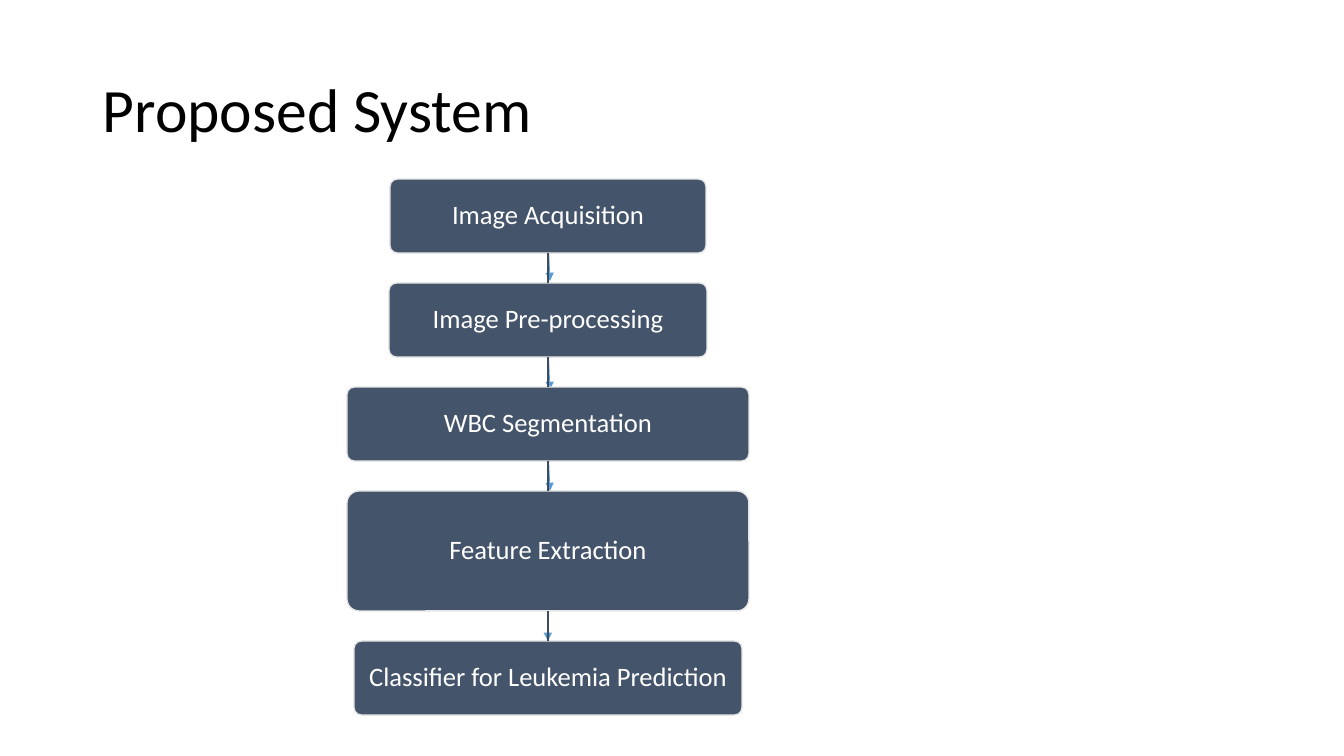
"""Build the Proposed System slide: a five-step vertical flow chart."""
from lxml.etree import SubElement
from pptx import Presentation
from pptx.dml.color import RGBColor
from pptx.enum.shapes import MSO_CONNECTOR as Connector, MSO_SHAPE as Shape
from pptx.enum.text import MSO_ANCHOR as Anchor, PP_ALIGN as Align
from pptx.oxml.ns import qn
from pptx.util import Emu, Pt

PX = 914400 / 100.8


def color(hex_string):
    return RGBColor.from_string(hex_string)


def add_line(start_x, start_y, end_x, end_y, hex_string, width):
    line = slide.shapes.add_connector(
        Connector.STRAIGHT, *[Emu(round(n * PX)) for n in (start_x, start_y, end_x, end_y)])
    line.line.color.rgb = color(hex_string)
    line.line.width = Pt(width)
    SubElement(line._element.spPr, qn("a:effectLst"))
    return line


deck = Presentation()
deck.slide_width, deck.slide_height = Emu(round(1344 * PX)), Emu(round(756 * PX))
slide = deck.slides.add_slide(deck.slide_layouts[6])

title = slide.shapes.add_textbox(*[Emu(round(n * PX)) for n in (93, 40, 1159, 146)])
title.text_frame.word_wrap = True
title.text_frame.vertical_anchor = Anchor.MIDDLE
heading = title.text_frame.paragraphs[0]
heading.line_spacing = 0.9
heading_run = heading.add_run()
heading_run.text = "Proposed System"
heading_run.font.name = "Calibri"
heading_run.font.size = Pt(44)
heading_run.font.color.rgb = color("000000")

for start_x, end_x, top in [(548, 550, 233), (548, 550, 342), (548, 550, 443), (547, 548, 593)]:
    arrow = add_line(start_x, top, end_x, top + 48, "5B9BD5", 0.5)
    SubElement(arrow.line._get_or_add_ln(), qn("a:tailEnd"), type="triangle")

CENTER, GAP = 548, 30
steps = [
    ("Image Acquisition", 316, 74),
    ("Image Pre-processing", 318, 74),
    ("WBC Segmentation", 402, 74),
    ("Feature Extraction", 402, 120),
    ("Classifier for Leukemia Prediction", 388, 74),
]
top = 179
previous = None
for label, width, height in steps:
    step = slide.shapes.add_shape(
        Shape.ROUNDED_RECTANGLE,
        *[Emu(round(n * PX)) for n in (CENTER - width / 2, top, width, height)])
    step.adjustments[0] = 0.1
    step.shadow.inherit = False
    step.fill.solid()
    step.fill.fore_color.rgb = color("44546A")
    step.line.color.rgb = color("E7E6E6")
    step.line.width = Pt(1)
    frame = step.text_frame
    frame.word_wrap = True
    frame.vertical_anchor = Anchor.MIDDLE
    frame.margin_left = frame.margin_right = Emu(round(8 * PX))
    frame.margin_top = frame.margin_bottom = Emu(round(8 * PX))
    paragraph = frame.paragraphs[0]
    paragraph.alignment = Align.CENTER
    paragraph.line_spacing = 0.9
    run = paragraph.add_run()
    run.text = label
    run.font.name = "Calibri"
    run.font.size = Pt(19)
    run.font.color.rgb = color("FFFFFF")
    if previous:
        link = add_line(CENTER, top - GAP, CENTER, top, "3E4C60", 1)
        link.begin_connect(previous, 2)
        link.end_connect(step, 0)
    previous = step
    top += height + GAP

deck.save("out.pptx")
